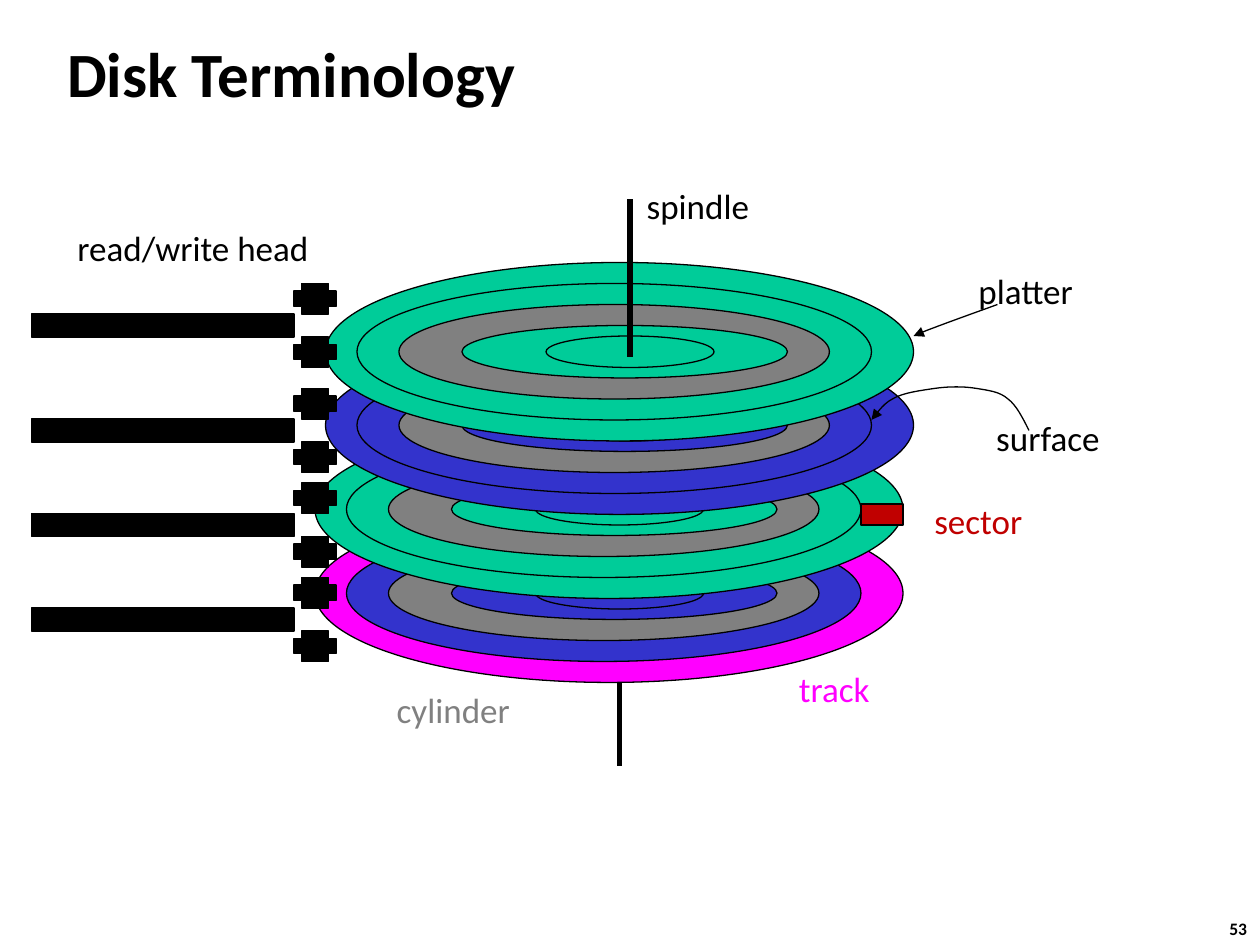
from dataclasses import dataclass

from lxml.etree import SubElement
from pptx import Presentation
from pptx.dml.color import RGBColor
from pptx.enum.shapes import MSO_CONNECTOR, MSO_SHAPE
from pptx.enum.text import MSO_ANCHOR, PP_ALIGN
from pptx.oxml.ns import qn
from pptx.util import Cm, Pt


@dataclass(frozen=True)
class Theme:
    font: str = "Calibri"
    black: str = "000000"
    green: str = "00CC99"
    blue: str = "3333CC"
    gray: str = "808080"
    pink: str = "FF00FF"
    red: str = "C00000"
    title: int = 36
    label: int = 20
    number: int = 10
    thin: float = 0.75
    thick: float = 3


@dataclass(frozen=True)
class Box:
    x: float
    y: float
    w: float
    h: float


@dataclass(frozen=True)
class Disk:
    x: float
    y: float
    edge: str
    fill: str


@dataclass(frozen=True)
class Label:
    text: str
    box: Box
    color: str


THEME = Theme()

# Places are counted in twelfths of an inch
UNIT = 2.54 / 12

# Rings of one platter, relative to its corner, from the rim inwards
RINGS = [Box(0, 0, 56, 17), Box(3, 2, 49, 13), Box(7, 4, 41, 9),
         Box(13, 6, 31, 5), Box(21, 7, 16, 3)]
TRACK = 2

DISKS = [
    Disk(30, 48, THEME.pink, THEME.blue),
    Disk(30, 40, THEME.green, THEME.green),
    Disk(31, 32, THEME.blue, THEME.blue),
    Disk(31, 25, THEME.green, THEME.green),
]

ARM_TOPS = [27, 37, 46, 55]

LABELS = [
    Label("spindle", Box(60.4, 17, 12.2, 5.3), THEME.black),
    Label("platter", Box(92, 25.1, 11.6, 5.3), THEME.black),
    Label("surface", Box(93.7, 39.1, 12.4, 5.3), THEME.black),
    Label("track", Box(74.9, 63, 9.2, 5.3), THEME.pink),
    Label("cylinder", Box(36.6, 65, 13.3, 5.3), THEME.gray),
    Label("sector", Box(87.8, 47, 10.9, 5.3), THEME.red),
    Label("read/write head", Box(6.2, 21, 24.7, 5.3), THEME.black),
]

# Each curve: a start, then three control points per Bezier piece
CURVES = [
    [(95, 29), (91.7, 30.2), (88.3, 31.4), (87, 32)],
    [(98, 41), (97.4, 39.8), (96.8, 38.6), (96, 38),
     (95.2, 37.3), (94.2, 37.2), (93, 37),
     (91.8, 36.8), (90.4, 36.8), (89, 37),
     (87.7, 37.2), (86, 37.4), (85, 38),
     (84, 38.5), (83.3, 39.7), (83, 40)],
]


def grid(n: float) -> Cm:
    return Cm(n * UNIT)


def place(box: Box) -> tuple:
    return grid(box.x), grid(box.y), grid(box.w), grid(box.h)


def ink(line, width: float) -> None:
    line.color.rgb = RGBColor.from_string(THEME.black)
    line.width = Pt(width)


def draw(shapes, kind: MSO_SHAPE, box: Box, color: str):
    shape = shapes.add_shape(kind, *place(box))
    shape.shadow.inherit = False
    shape.fill.solid()
    shape.fill.fore_color.rgb = RGBColor.from_string(color)
    ink(shape.line, THEME.thin)
    return shape


def write(frame, text: str, size: int, color: str, bold: bool = False) -> None:
    run = frame.paragraphs[0].add_run()
    run.text = text
    font = run.font
    font.name, font.size, font.bold = THEME.font, Pt(size), bold
    font.color.rgb = RGBColor.from_string(color)


def note(shapes, label: Label, size: int, bold: bool = False) -> None:
    frame = shapes.add_textbox(*place(label.box)).text_frame
    frame.word_wrap = False
    write(frame, label.text, size, label.color, bold)


def stack(shapes, disk: Disk) -> None:
    for i, ring in enumerate(RINGS):
        color = disk.edge if i == 0 else THEME.gray if i == TRACK else disk.fill
        box = Box(disk.x + ring.x, disk.y + ring.y, ring.w, ring.h)
        draw(shapes, MSO_SHAPE.OVAL, box, color)


def pole(shapes, x: float, top: float, end: float) -> None:
    line = shapes.add_connector(MSO_CONNECTOR.STRAIGHT, grid(x), grid(top),
                                grid(x), grid(end))
    ink(line.line, THEME.thick)
    SubElement(line._element.spPr, qn("a:effectLst"))


def arm(shapes, top: float) -> None:
    group = shapes.add_group_shape().shapes
    draw(group, MSO_SHAPE.RECTANGLE, Box(3, top + 2.9, 25, 2.2), THEME.black)
    for y in (top + 5.1, top):
        draw(group, MSO_SHAPE.CROSS, Box(28, y, 4, 2.9), THEME.black)


def bend(points: list, steps: int = 8) -> list:
    """Points along a chain of cubic Bezier pieces."""
    path = []
    for i in range(0, len(points) - 1, 3):
        for k in range(1, steps + 1):
            t = k / steps
            parts = ((1 - t) ** 3, 3 * t * (1 - t) ** 2, 3 * t * t * (1 - t), t ** 3)
            path.append(tuple(
                grid(sum(p * q[axis] for p, q in zip(parts, points[i:i + 4])))
                for axis in (0, 1)))
    return path


def arrow(shapes, points: list) -> None:
    x, y = points[0]
    pen = shapes.build_freeform(grid(x), grid(y), scale=1.0)
    pen.add_line_segments(bend(points), close=False)
    shape = pen.convert_to_shape()
    shape.shadow.inherit = False
    shape.fill.background()
    ink(shape.line, THEME.thin)
    SubElement(shape.line._get_or_add_ln(), qn("a:tailEnd"), type="triangle")


def main() -> None:
    deck = Presentation()
    deck.slide_width, deck.slide_height = Cm(25.4), Cm(19.05)
    slide = deck.slides.add_slide(deck.slide_layouts[5])
    shapes = slide.shapes

    # Title
    title = shapes.title
    title.left, title.top, title.width, title.height = place(Box(5.2, 1.9, 99.6, 10))
    title.text_frame.vertical_anchor = MSO_ANCHOR.MIDDLE
    write(title.text_frame, "Disk Terminology", THEME.title, THEME.black, True)
    title.text_frame.paragraphs[0].alignment = PP_ALIGN.LEFT

    # Platters on the spindle
    for disk in DISKS:
        stack(shapes, disk)
    pole(shapes, 60, 19, 34)
    pole(shapes, 59, 65, 73)

    # Arms with their heads
    for top in ARM_TOPS:
        arm(shapes, top)

    # Labels, pointers and the sector
    for label in LABELS:
        note(shapes, label, THEME.label)
    for curve in CURVES:
        arrow(shapes, curve)
    draw(shapes, MSO_SHAPE.RECTANGLE, Box(82, 48, 4, 2), THEME.red)

    # Slide number
    number = Label("53", Box(115.9, 86.8, 4.4, 3.2), THEME.black)
    note(shapes, number, THEME.number, True)

    deck.save("out.pptx")


if __name__ == "__main__":
    main()
